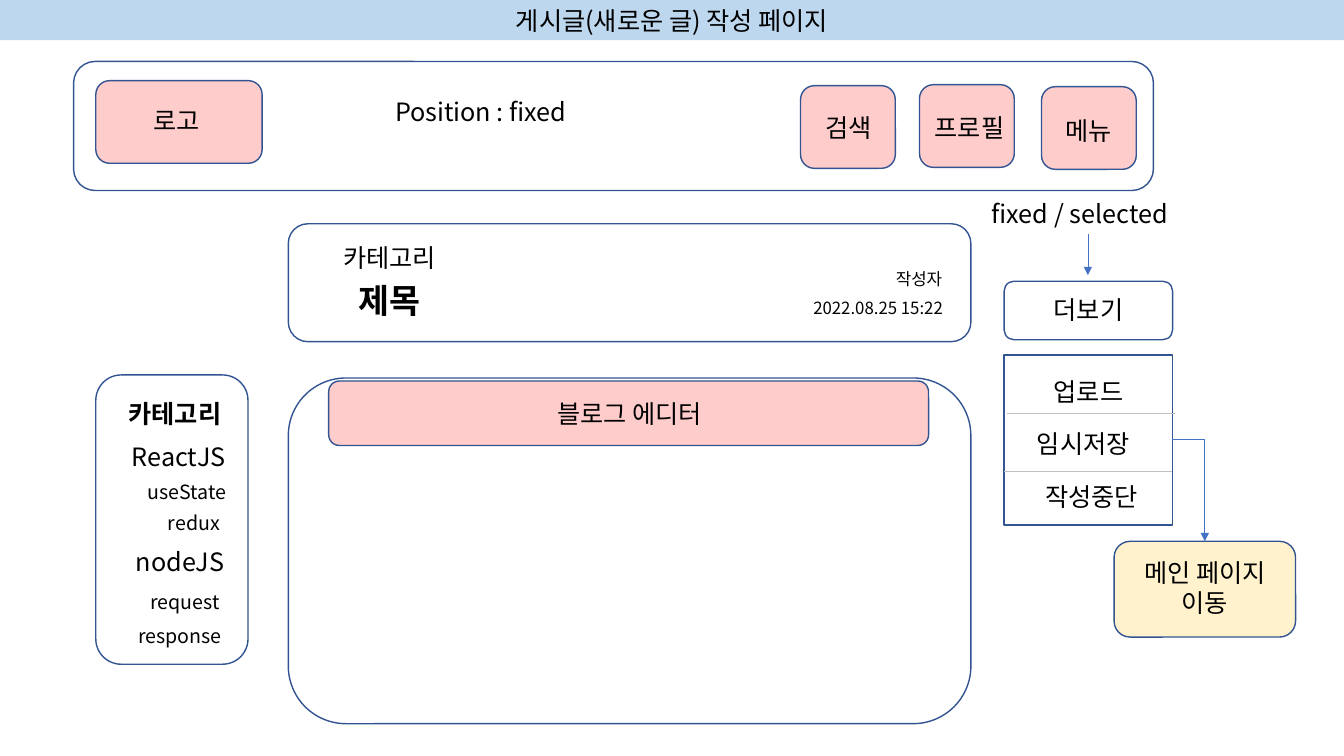
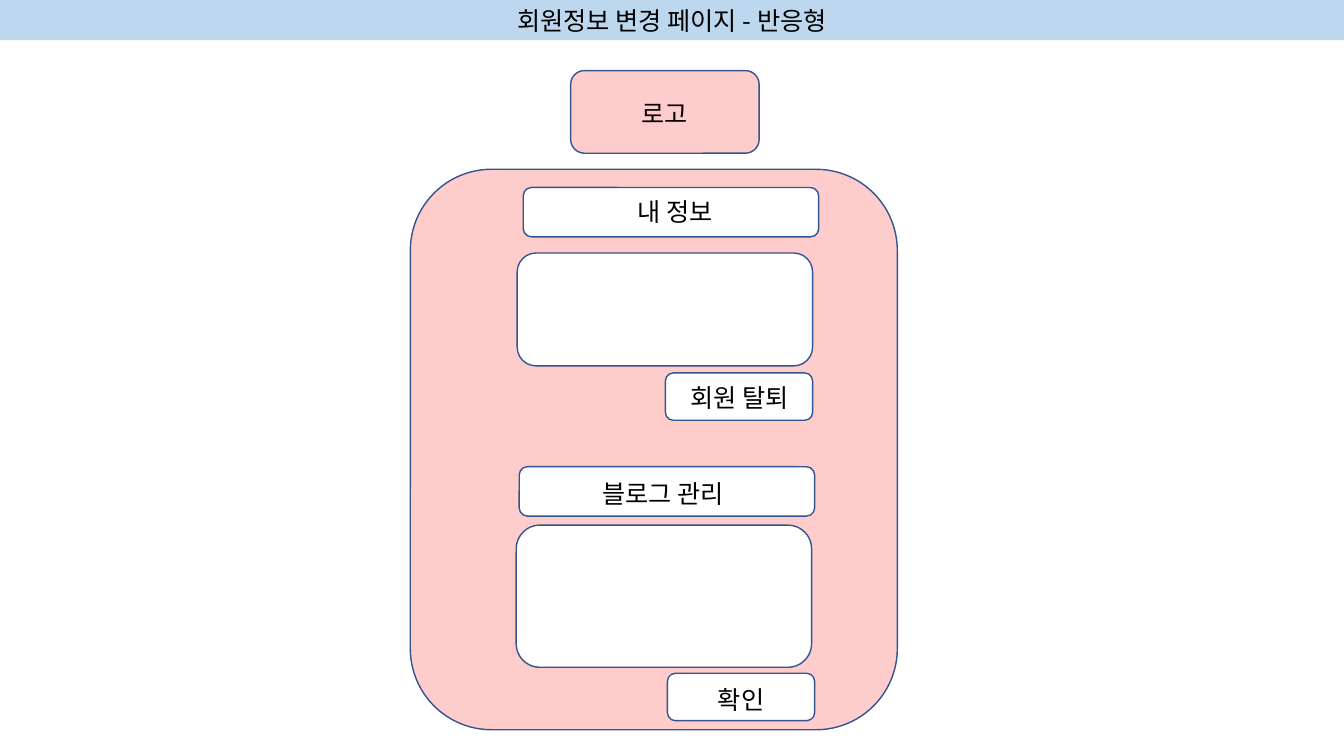
from pptx import Presentation
from pptx.dml.color import RGBColor
from pptx.enum.shapes import MSO_CONNECTOR, MSO_SHAPE
from pptx.enum.text import MSO_ANCHOR, MSO_AUTO_SIZE, PP_ALIGN
from pptx.oxml.ns import qn
from pptx.util import Inches, Pt
from lxml import etree

RECT, ROUND = MSO_SHAPE.RECTANGLE, MSO_SHAPE.ROUNDED_RECTANGLE
STRAIGHT, ELBOW = MSO_CONNECTOR.STRAIGHT, MSO_CONNECTOR.ELBOW
CENTER, LEFT = PP_ALIGN.CENTER, PP_ALIGN.LEFT
TOP, MIDDLE = MSO_ANCHOR.TOP, MSO_ANCHOR.MIDDLE
GROW = MSO_AUTO_SIZE.SHAPE_TO_FIT_TEXT

FONT = "Noto Sans CJK KR"
BLACK, WHITE, BAND = "000000", "FFFFFF", "BDD7EE"
PINK, CREAM = "FFCCCC", "FFF2CC"
OUTLINE, ARROW, DIVIDER = "325491", "4472C4", "BFBFBF"
SLIDE_W, SLIDE_H = 13.33, 7.5


def rgb(value):
    return RGBColor.from_string(value)


def set_all(target, formats):
    for name, value in formats.items():
        setattr(target, name, value)


def write(sp, text, size=18, bold=False, align=CENTER, anchor=TOP):
    tf = sp.text_frame
    set_all(tf, {"word_wrap": True, "auto_size": GROW, "vertical_anchor": anchor})
    p = tf.paragraphs[0]
    p.alignment = align
    r = p.add_run()
    r.text = text
    set_all(r.font, {"size": Pt(size), "bold": bold, "name": FONT})
    r.font.color.rgb = rgb(BLACK)
    etree.SubElement(r.font._element, qn("a:ea")).set("typeface", FONT)


def add_box(s, x, y, w, h, fill=WHITE, line=OUTLINE, kind=ROUND):
    sp = s.shapes.add_shape(kind, Inches(x), Inches(y), Inches(w), Inches(h))
    sp.shadow.inherit = False
    if fill:
        sp.fill.solid()
        sp.fill.fore_color.rgb = rgb(fill)
    else:
        sp.fill.background()
    if line:
        sp.line.color.rgb = rgb(line)
        sp.line.width = Pt(1)
    else:
        sp.line.fill.background()
    return sp


def add_label(s, text, x, y, w, h=0.4, **formats):
    sp = s.shapes.add_textbox(Inches(x), Inches(y), Inches(w), Inches(h))
    write(sp, text, **formats)


def add_line(s, x1, y1, x2, y2, color, arrow=False, kind=STRAIGHT):
    sp = s.shapes.add_connector(kind, Inches(x1), Inches(y1), Inches(x2), Inches(y2))
    sp.line.color.rgb = rgb(color)
    sp.line.width = Pt(0.5)
    props = sp._element.spPr
    if kind == ELBOW:
        props.find(qn("a:prstGeom")).set("prst", "bentConnector2")
    if arrow:
        etree.SubElement(props.find(qn("a:ln")), qn("a:tailEnd")).set("type", "triangle")
    etree.SubElement(props, qn("a:effectLst"))


def add_page(prs, title):
    s = prs.slides.add_slide(prs.slide_layouts[6])
    band = add_box(s, 0, 0, SLIDE_W, 0.4, BAND, None, RECT)
    write(band, title, anchor=MIDDLE)
    return s


def add_header(s):
    add_box(s, 0.73, 0.61, 10.71, 1.28)
    add_label(s, "Position : fixed", 3.82, 0.91, 3.03, align=LEFT)
    add_box(s, 0.95, 0.8, 1.65, 0.82, PINK)
    add_label(s, "로고", 1.08, 1, 1.35)
    for text, x, y, label_x, label_y, label_w in (
        ("검색", 7.94, 0.85, 8.03, 1.07, 0.77),
        ("프로필", 9.12, 0.84, 9.07, 1.07, 1.09),
        ("메뉴", 10.33, 0.86, 10.41, 1.09, 0.77),
    ):
        add_box(s, x, y, 0.94, 0.82, PINK)
        add_label(s, text, label_x, label_y, label_w)


def add_categories(s):
    add_box(s, 0.95, 3.72, 1.51, 2.87)
    add_label(s, "카테고리", 1.06, 3.9, 1.35, bold=True)
    for text, x, y in (("ReactJS", 1.1, 4.33), ("nodeJS", 1.11, 5.37)):
        add_label(s, text, x, y, 1.35)
    for text, x, y in (
        ("useState", 1.18, 4.71),
        ("redux", 1.25, 5.02),
        ("request", 1.16, 5.8),
        ("response", 1.11, 6.14),
    ):
        add_label(s, text, x, y, 1.35, 0.34, size=14)


def add_post(s):
    add_box(s, 2.86, 3.75, 6.77, 3.43, None)
    add_box(s, 2.86, 2.22, 6.77, 1.17)
    add_label(s, "제목", 2.86, 2.73, 2, 0.5, size=24, bold=True)
    add_label(s, "카테고리", 3.19, 2.35, 1.35)
    add_label(s, "작성자", 8.44, 2.62, 1.35, 0.3, size=12)
    add_label(s, "2022.08.25 15:22", 7.56, 2.9, 2.3, 0.3, size=12)
    add_box(s, 3.26, 3.78, 5.95, 0.64, PINK)
    add_label(s, "블로그 에디터", 5.25, 3.9, 1.99)


def add_more_menu(s):
    add_label(s, "fixed / selected", 9.65, 1.92, 2.12)
    add_line(s, 10.79, 2.32, 10.79, 2.73, ARROW, arrow=True)
    add_box(s, 9.96, 2.79, 1.67, 0.58)
    add_label(s, "더보기", 10.04, 2.87, 1.51)
    add_box(s, 9.96, 3.52, 1.67, 1.69, kind=RECT)
    for x, y in ((9.99, 4.1), (9.96, 4.68)):
        add_line(s, x, y, x + 1.66, y, DIVIDER)
    for text, x, y in (
        ("업로드", 10.04, 3.68),
        ("임시저장", 9.99, 4.2),
        ("작성중단", 10.07, 4.73),
    ):
        add_label(s, text, x, y, 1.51)
    add_box(s, 11.05, 5.37, 1.8, 0.95, CREAM)
    add_label(s, "메인 페이지 이동", 11.11, 5.48, 1.68, 0.71)
    add_line(s, 11.62, 4.36, 11.95, 5.37, ARROW, arrow=True, kind=ELBOW)


def add_account(s):
    add_box(s, 4.07, 1.68, 4.83, 5.56, PINK)
    add_box(s, 5.66, 0.7, 1.87, 0.82, PINK)
    add_label(s, "로고", 5.92, 0.93, 1.35)
    for x, y, h in ((5.13, 2.51, 1.12), (5.12, 5.21, 1.41)):
        add_box(s, x, y, 2.93, h)
    for text, x, y, w, h, label_x, label_y, label_w in (
        ("내 정보", 5.19, 1.86, 2.93, 0.49, 5.58, 1.9, 2.24),
        ("회원 탈퇴", 6.6, 3.7, 1.46, 0.47, 6.67, 3.74, 1.33),
        ("블로그 관리", 5.15, 4.63, 2.93, 0.49, 5.45, 4.7, 2.25),
        ("확인", 6.62, 6.68, 1.46, 0.47, 6.62, 6.74, 1.46),
    ):
        add_box(s, x, y, w, h)
        add_label(s, text, label_x, label_y, label_w)


def main():
    prs = Presentation()
    set_all(prs, {"slide_width": Inches(SLIDE_W), "slide_height": Inches(SLIDE_H)})
    s = add_page(prs, "게시글(새로운 글) 작성 페이지")
    for add_part in (add_header, add_categories, add_post, add_more_menu):
        add_part(s)
    add_account(add_page(prs, "회원정보 변경 페이지 - 반응형"))
    prs.save("out.pptx")


main()
